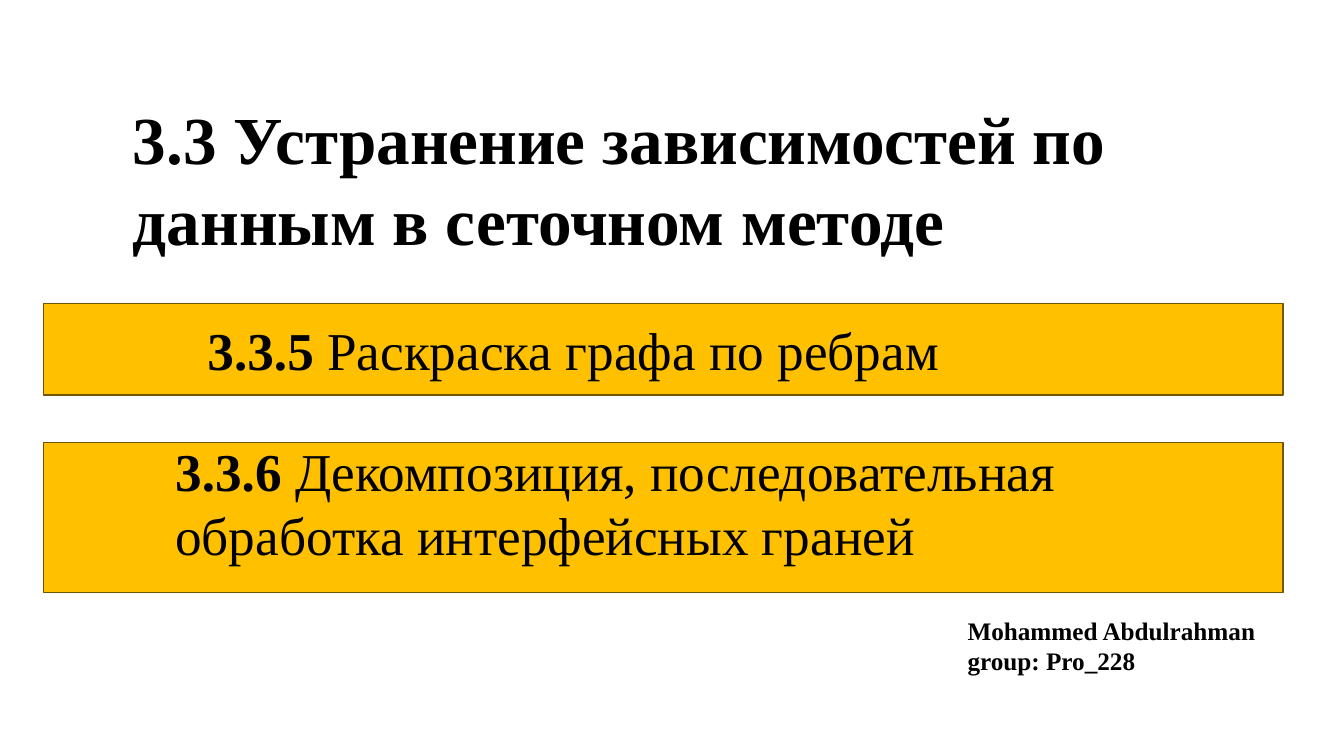
"""Build the title slide of section 3.3 on grid method dependencies."""
from pptx import Presentation
from pptx.dml.color import RGBColor
from pptx.enum import shapes, text
from pptx.util import Pt

BLACK = RGBColor(0x00, 0x00, 0x00)
AMBER = RGBColor(0xFF, 0xC0, 0x00)
BROWN = RGBColor(0x70, 0x54, 0x00)


class Deck:
    font = "Times New Roman"

    def __init__(self, wide, high):
        self.prs = Presentation()
        self.prs.slide_width = Pt(wide)
        self.prs.slide_height = Pt(high)
        self.slide = self.prs.slides.add_slide(self.prs.slide_layouts[6])

    def bar(self, *box):
        rect = self.slide.shapes.add_shape(
            shapes.MSO_SHAPE.RECTANGLE, *map(Pt, box))
        rect.shadow.inherit = False
        rect.fill.solid()
        rect.fill.fore_color.rgb = AMBER
        rect.line.color.rgb = BROWN
        rect.line.width = Pt(1)

    def words(self, box, size, *paras):
        frame = self.slide.shapes.add_textbox(*map(Pt, box)).text_frame
        frame.word_wrap = True
        frame.auto_size = text.MSO_AUTO_SIZE.SHAPE_TO_FIT_TEXT
        for i, runs in enumerate(paras):
            para = frame.add_paragraph() if i else frame.paragraphs[0]
            for words, bold in runs:
                run = para.add_run()
                run.text = words
                run.font.name = self.font
                run.font.size = Pt(size)
                run.font.bold = bold
                run.font.color.rgb = BLACK


def main():
    deck = Deck(960, 540)
    deck.words((87.8, 66.2, 818, 123.8), 48,
               [("3.3 Устранение зависимостей по данным в сеточном методе", True)])
    topics = [
        (216.7, 65.5, (141.1, 223.2, 563, 53.3),
         "3.3.5", " Раскраска графа по ребрам"),
        (316.1, 107.3, (118.1, 309.6, 662.4, 99.4),
         "3.3.6 ", "Декомпозиция, последовательная обработка интерфейсных граней"),
    ]
    for top, high, box, num, name in topics:
        deck.bar(31, top, 885.6, high)
        deck.words(box, 38, [(num, True), (name, False)])
    deck.words((684, 435.6, 246.2, 51.1), 18,
               [("Mohammed Abdulrahman", True)],
               [("group: Pro_228", True)])
    deck.prs.save("out.pptx")


if __name__ == "__main__":
    main()
